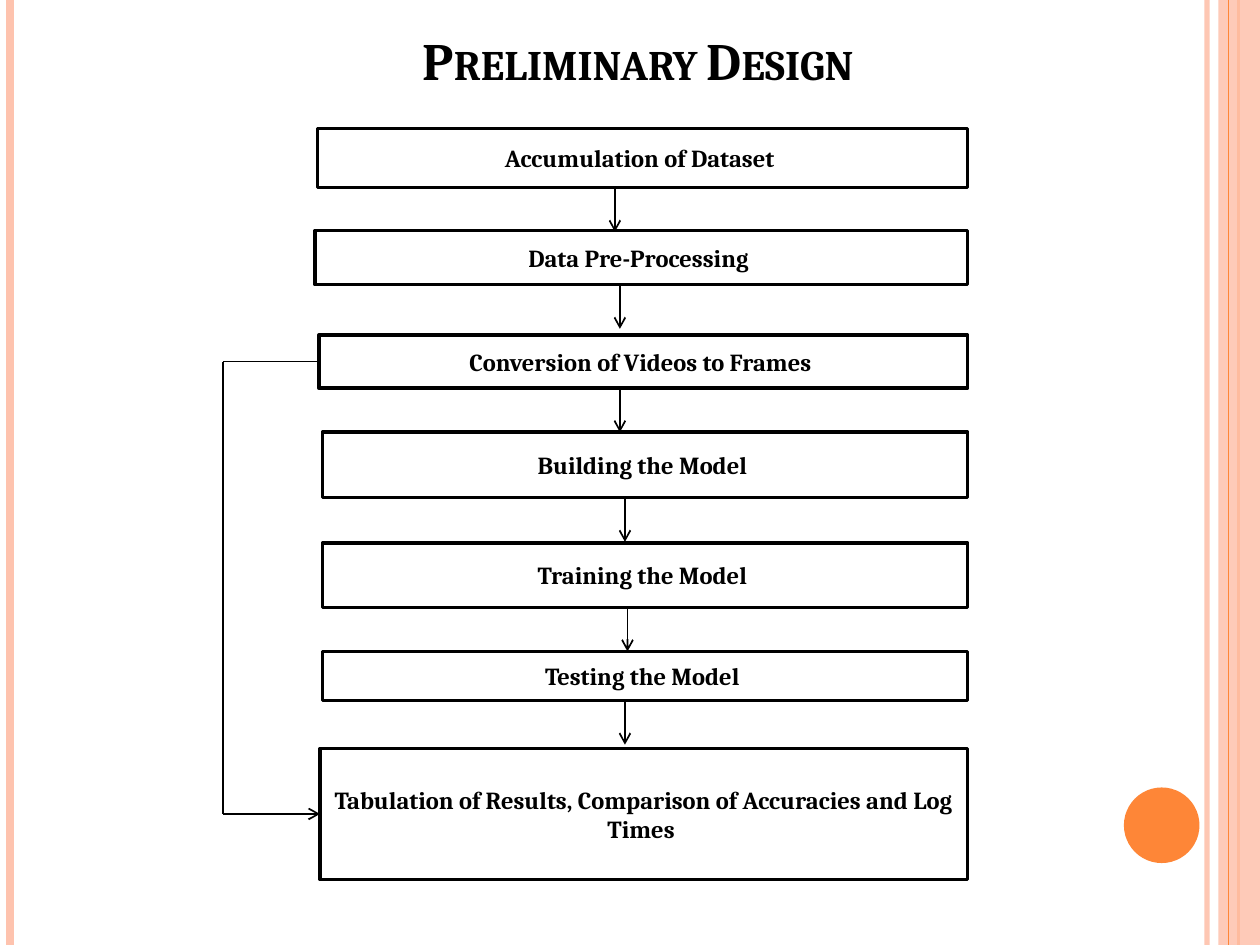
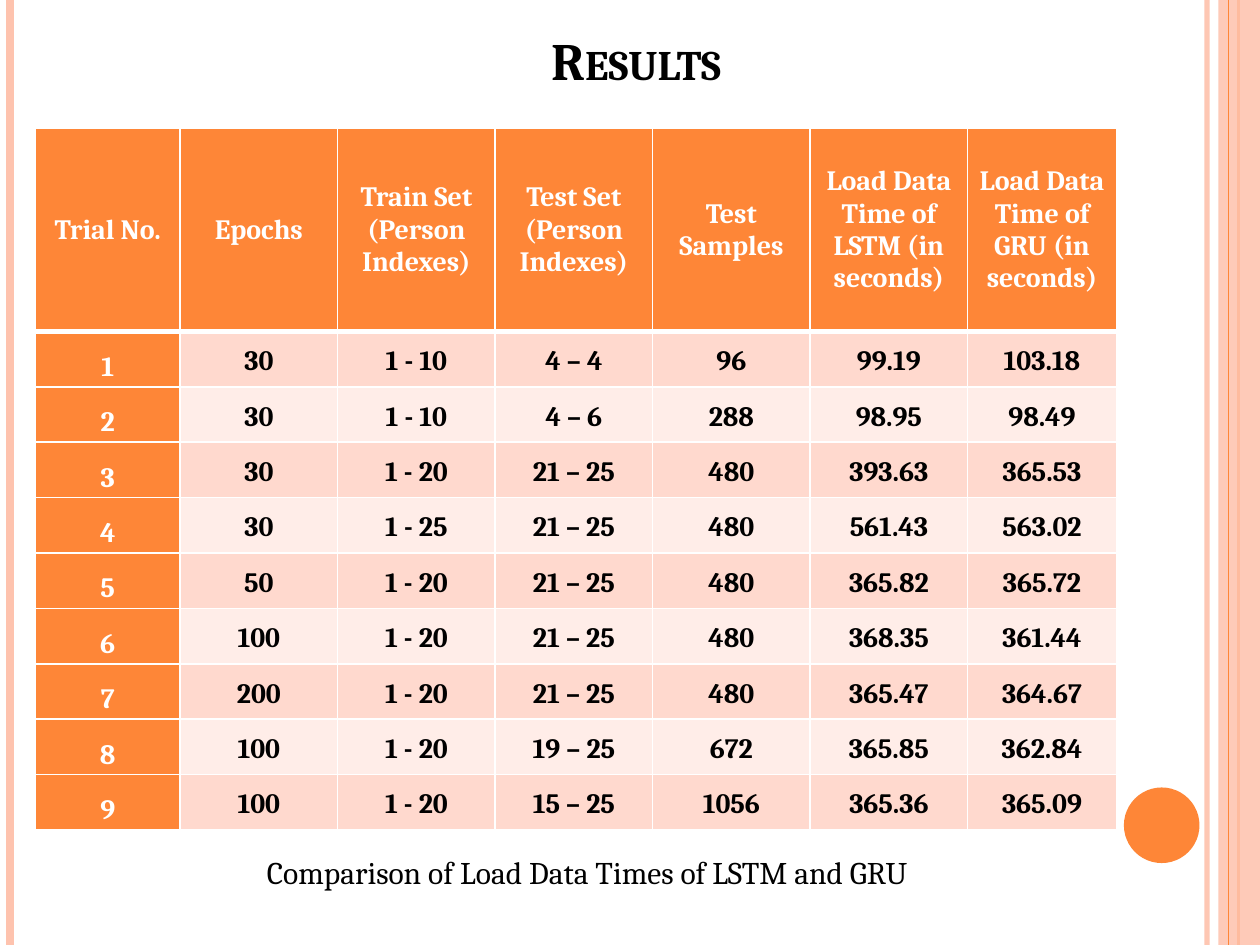
from dataclasses import dataclass

from lxml.etree import SubElement
from pptx import Presentation
from pptx.dml.color import RGBColor
from pptx.enum.shapes import MSO_CONNECTOR, MSO_SHAPE
from pptx.enum.text import MSO_ANCHOR, PP_ALIGN
from pptx.oxml.ns import qn
from pptx.util import Inches, Pt


@dataclass(frozen=True)
class Theme:
    font: str = "Cambria"
    ink: str = "000000"
    paper: str = "FFFFFF"
    accent: str = "FE8637"
    blush: str = "FEC3AE"
    bands: tuple = ("FFD9CE", "FFEDE8")
    title_size: int = 30
    caption_size: int = 18
    cell_size: int = 16
    step_size: int = 14


WIDTH, HEIGHT = 10, 7.5

# Flow chart: text, left, top, height, x of the arrow leaving the step
STEPS_RIGHT = 7.68
ARROW_LENGTH = 0.35
LOOP_X = 1.77
STEPS = [
    ("Accumulation of Dataset ", 2.52, 1.02, 0.47, 4.88),
    ("Data Pre-Processing ", 2.5, 1.83, 0.43, 4.92),
    ("Conversion of Videos to Frames ", 2.53, 2.66, 0.42, 4.92),
    ("Building the Model ", 2.56, 3.43, 0.52, 4.96),
    ("Training the Model ", 2.56, 4.31, 0.51, 4.98),
    ("Testing the Model ", 2.56, 5.17, 0.39, 4.96),
    ("Tabulation of Results, Comparison of Accuracies and Log Times ",
     2.54, 5.94, 1.04, None),
]

# Results table
COLUMN_WIDTHS = [1.15] + [1.25] * 5 + [1.18]
HEADER_HEIGHT, TRIAL_HEIGHT = 1.61, 0.44
HEADER = ["Trial No.", "Epochs", "Train Set (Person Indexes)",
          "Test Set (Person Indexes)", "Test Samples",
          "Load Data Time of LSTM (in seconds)",
          "Load Data Time of GRU (in seconds)"]
TRIALS = [
    ("30", "1 - 10", "4 – 4", "96", "99.19", "103.18"),
    ("30", "1 - 10", "4 – 6", "288", "98.95", "98.49"),
    ("30", "1 - 20", "21 – 25", "480", "393.63", "365.53"),
    ("30", "1 - 25", "21 – 25", "480", "561.43", "563.02"),
    ("50", "1 - 20", "21 – 25", "480", "365.82", "365.72"),
    ("100", "1 - 20", "21 – 25", "480", "368.35", "361.44"),
    ("200", "1 - 20", "21 – 25", "480", "365.47", "364.67"),
    ("100", "1 - 20", "19 – 25", "672", "365.85", "362.84"),
    ("100", "1 - 20", "15 – 25", "1056", "365.36", "365.09"),
]


def set_alpha(shape, percent):
    colour = shape._element.spPr.find(".//" + qn("a:srgbClr"))
    SubElement(colour, qn("a:alpha"), val=str(percent * 1000))


class Deck:
    def __init__(self, theme):
        self.theme = theme
        self.presentation = Presentation()
        self.presentation.slide_width = Inches(WIDTH)
        self.presentation.slide_height = Inches(HEIGHT)
        self.slide = None

    def new_slide(self, title, title_left, title_width):
        self.slide = self.presentation.slides.add_slide(
            self.presentation.slide_layouts[6])
        self.decoration()
        heading = self.text(title, title_left, 0.13, title_width, 0.64,
                            self.theme.title_size, bold=True,
                            anchor=MSO_ANCHOR.BOTTOM)
        properties = heading.paragraphs[0]._p.pPr.find(qn("a:defRPr"))
        properties.set("cap", "small")

    def decoration(self):
        """Side stripes and the disc that every slide carries."""
        t = self.theme
        set_alpha(self.vertical(9.58, t.blush, 3), 93)
        self.vertical(0.08, t.blush, 4.5)
        self.vertical(9.83, t.accent, 1.5)
        set_alpha(self.shape(MSO_SHAPE.RECTANGLE, 9.67, 0, 0.33, HEIGHT,
                             t.blush), 87)
        self.vertical(9.75, t.accent, 0.75)
        self.shape(MSO_SHAPE.OVAL, 8.92, 6.25, 0.6, 0.6, t.accent)

    def vertical(self, x, colour, width):
        return self.line((x, 0), (x, HEIGHT), colour, width)

    def line(self, start, end, colour=None, width=1, arrow=False):
        connector = self.slide.shapes.add_connector(
            MSO_CONNECTOR.STRAIGHT, *map(Inches, start + end))
        connector.line.color.rgb = RGBColor.from_string(
            colour or self.theme.ink)
        connector.line.width = Pt(width)
        properties = connector._element.spPr
        if arrow:
            SubElement(properties.find(qn("a:ln")), qn("a:tailEnd"),
                       type="arrow")
        SubElement(properties, qn("a:effectLst"))
        return connector

    def shape(self, kind, left, top, width, height, fill):
        shape = self.slide.shapes.add_shape(
            kind, *map(Inches, (left, top, width, height)))
        shape.shadow.inherit = False
        shape.fill.solid()
        shape.fill.fore_color.rgb = RGBColor.from_string(fill)
        shape.line.fill.background()
        return shape

    def step(self, label, left, top, height):
        box = self.shape(MSO_SHAPE.FLOWCHART_PROCESS, left, top,
                         STEPS_RIGHT - left, height, self.theme.paper)
        box.line.color.rgb = RGBColor.from_string(self.theme.ink)
        box.line.width = Pt(2)
        box.text_frame.word_wrap = True
        box.text_frame.vertical_anchor = MSO_ANCHOR.MIDDLE
        self.fill_text(box.text_frame, label, self.theme.step_size, bold=True)
        return box

    def text(self, words, left, top, width, height, size, bold=False,
             anchor=MSO_ANCHOR.TOP):
        frame = self.slide.shapes.add_textbox(
            *map(Inches, (left, top, width, height))).text_frame
        frame.word_wrap = True
        frame.vertical_anchor = anchor
        self.fill_text(frame, words, size, bold)
        return frame

    def fill_text(self, frame, words, size, bold=False, colour=None,
                  spacing=None):
        frame.text = words
        paragraph = frame.paragraphs[0]
        paragraph.alignment = PP_ALIGN.CENTER
        paragraph.line_spacing = spacing
        font = paragraph.font
        font.name, font.size, font.bold = self.theme.font, Pt(size), bold
        font.color.rgb = RGBColor.from_string(colour or self.theme.ink)

    def table(self, left, top, rows, widths, heights):
        table = self.slide.shapes.add_table(
            len(rows), len(widths),
            *map(Inches, (left, top, sum(widths), sum(heights)))).table
        for column, width in zip(table.columns, widths):
            column.width = Inches(width)
        for row, height in zip(table.rows, heights):
            row.height = Inches(height)
        for r, values in enumerate(rows):
            for c, value in enumerate(values):
                self.cell(table.cell(r, c), value, r, c)

    def cell(self, cell, value, row, column):
        t = self.theme
        cell.margin_left = cell.margin_right = Inches(0.07)
        cell.margin_top = cell.margin_bottom = 0
        cell.vertical_anchor = MSO_ANCHOR.MIDDLE
        # The rule under the header row is thicker
        self.border(cell, "L", 1)
        self.border(cell, "R", 1)
        self.border(cell, "T", 3 if row == 1 else 1)
        self.border(cell, "B", 3 if row == 0 else 1)
        is_heading = row == 0 or column == 0
        fill = t.accent if is_heading else t.bands[(row - 1) % 2]
        cell.fill.solid()
        cell.fill.fore_color.rgb = RGBColor.from_string(fill)
        spacing = None if row == 0 else 1.5 if column == 0 else 1.15
        self.fill_text(cell.text_frame, value, t.cell_size, True,
                       t.paper if is_heading else t.ink, spacing)

    def border(self, cell, side, width):
        edge = SubElement(cell._tc.get_or_add_tcPr(), qn("a:ln" + side),
                          w=str(Pt(width)))
        SubElement(SubElement(edge, qn("a:solidFill")), qn("a:srgbClr"),
                   val=self.theme.paper)


def preliminary_design(deck):
    deck.new_slide("Preliminary Design", 2.54, 5.05)
    boxes = [deck.step(*step[:4]) for step in STEPS]

    # Arrows from step to step
    for _, _, top, height, x in STEPS[:-1]:
        bottom = top + height
        deck.line((x, bottom), (x, bottom + ARROW_LENGTH), arrow=True)

    # Bypass from the frames straight to the results
    frames_y, results_y = 2.87, 6.46
    deck.line((LOOP_X, results_y), (LOOP_X, frames_y))
    leaving = deck.line((LOOP_X, frames_y), (STEPS[2][1], frames_y))
    leaving.end_connect(boxes[2], 1)
    arriving = deck.line((LOOP_X, results_y), (STEPS[-1][1], results_y),
                         arrow=True)
    arriving.end_connect(boxes[-1], 1)


def results(deck):
    deck.new_slide("Results", 3.98, 2.14)
    rows = [HEADER] + [(str(number), *trial)
                       for number, trial in enumerate(TRIALS, 1)]
    deck.table(0.28, 1.02, rows, COLUMN_WIDTHS,
               [HEADER_HEIGHT] + [TRIAL_HEIGHT] * len(TRIALS))
    deck.text("Comparison of Load Data Times of LSTM and GRU",
              0.8, 6.72, 7.72, 0.4, deck.theme.caption_size)


def main():
    deck = Deck(Theme())
    preliminary_design(deck)
    results(deck)
    deck.presentation.save("out.pptx")


if __name__ == "__main__":
    main()
